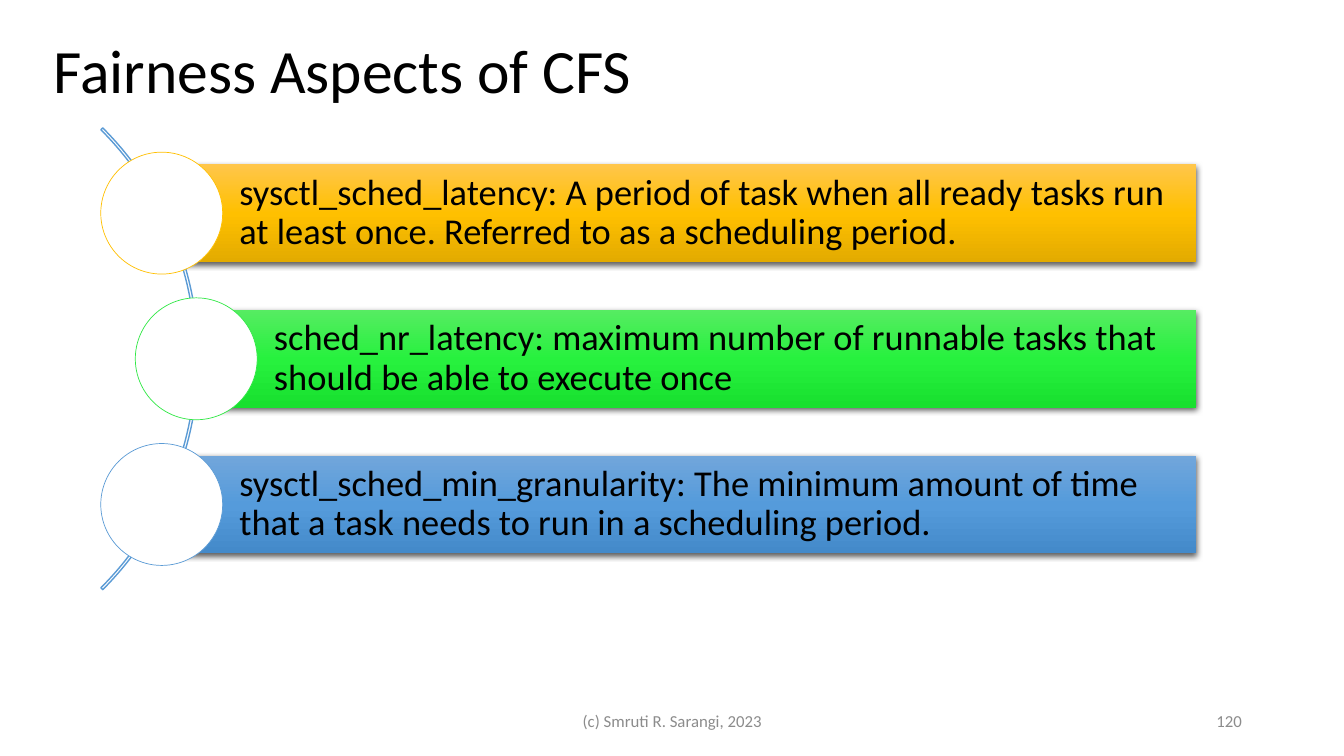
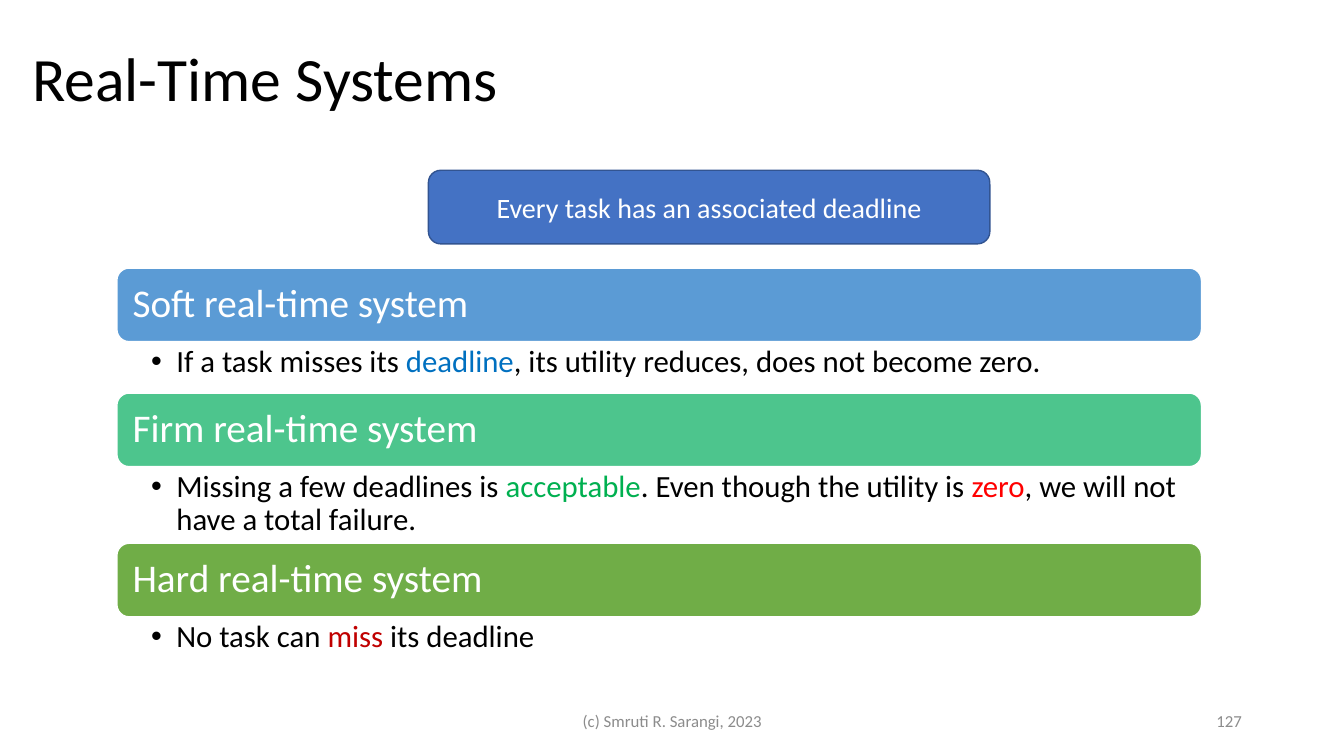
from copy import deepcopy
from dataclasses import dataclass
from math import sqrt

from lxml import etree
from pptx import Presentation
from pptx.dml.color import RGBColor
from pptx.enum.shapes import MSO_SHAPE
from pptx.enum.text import MSO_ANCHOR, PP_ALIGN
from pptx.oxml.ns import qn
from pptx.util import Inches, Pt

RECT, ROUNDED = MSO_SHAPE.RECTANGLE, MSO_SHAPE.ROUNDED_RECTANGLE
OVAL, ARC = MSO_SHAPE.OVAL, MSO_SHAPE.BLOCK_ARC
LEFT, CENTER, RIGHT = PP_ALIGN.LEFT, PP_ALIGN.CENTER, PP_ALIGN.RIGHT
TOP, MIDDLE = MSO_ANCHOR.TOP, MSO_ANCHOR.MIDDLE

SLIDE_W, SLIDE_H = Inches(13.333), Inches(7.5)
COLUMNS = 40
UNIT = SLIDE_W / COLUMNS


@dataclass(frozen=True)
class Theme:
    """Font, type sizes and colours of the deck."""
    font: str = "Calibri"
    title_size: int = 44
    heading_size: int = 28
    bar_size: int = 26
    detail_size: int = 22
    callout_size: int = 20
    footer_size: int = 12
    ink: str = "000000"
    paper: str = "FFFFFF"
    muted: str = "8C8C8C"
    blue: str = "5B9BD5"
    teal: str = "4DC58D"
    green: str = "70AD47"
    callout: str = "4472C4"
    callout_edge: str = "325491"
    deadline: str = "0070C0"
    acceptable: str = "00B050"
    zero: str = "FF0000"
    miss: str = "C00000"
    gold_ring: str = "FFC000"
    lime_ring: str = "30E845"
    gold_fade: tuple = ("FFC64B", "FFC000", "E3AB00")
    lime_fade: tuple = ("56EC62", "27F13E", "18E02F")
    blue_fade: tuple = ("71A6DB", "559BDB", "448ACA")


@dataclass(frozen=True)
class Box:
    """A rectangle in grid columns and rows."""
    x: float
    y: float
    w: float
    h: float

    def emu(self):
        """Return left, top, width and height in EMU."""
        return [round(side * UNIT) for side in (self.x, self.y, self.w, self.h)]


THEME = Theme()
TEXT_INSETS = (0.3, 0.15, 0.3, 0.15)
FOOTER = Box(13.26, 20.85, 13.5, 1.2)
PAGE_NUMBER = Box(28.26, 20.85, 9, 1.2)
COPYRIGHT = "(c) Smruti R. Sarangi, 2023"


def write(shape, runs, size, align=LEFT, anchor=MIDDLE, insets=TEXT_INSETS,
          spacing=0.9, bullet=False):
    """Write one paragraph of (text, colour) runs into a shape."""
    frame = shape.text_frame
    frame.word_wrap = True
    frame.vertical_anchor = anchor
    (frame.margin_left, frame.margin_top,
     frame.margin_right, frame.margin_bottom) = [round(i * UNIT) for i in insets]
    paragraph = frame.paragraphs[0]
    paragraph.alignment = align
    paragraph.line_spacing = spacing
    if bullet:
        properties = paragraph._p.get_or_add_pPr()
        properties.set("marL", str(Inches(0.25)))
        properties.set("indent", str(-Inches(0.25)))
        etree.SubElement(properties, qn("a:buFont"), typeface="Arial")
        etree.SubElement(properties, qn("a:buChar"), char="•")
    for text, colour in runs:
        run = paragraph.add_run()
        run.text = text
        run.font.name = THEME.font
        run.font.size = Pt(size)
        run.font.color.rgb = RGBColor.from_string(colour)


def add_text(slide, box, runs, size, **style):
    """Add a text box holding one paragraph."""
    write(slide.shapes.add_textbox(*box.emu()), runs, size, **style)


def add_shape(slide, preset, box, fill=None, line=None, weight=1):
    """Add a preset shape with a flat fill and line, or none."""
    shape = slide.shapes.add_shape(preset, *box.emu())
    shape.shadow.inherit = False
    if fill:
        shape.fill.solid()
        shape.fill.fore_color.rgb = RGBColor.from_string(fill)
    else:
        shape.fill.background()
    if line:
        shape.line.color.rgb = RGBColor.from_string(line)
        shape.line.width = Pt(weight)
    else:
        shape.line.fill.background()
    return shape


def fade(shape, colours):
    """Fill a shape from top to bottom with evenly spaced colours."""
    shape.fill.gradient()
    shape.fill.gradient_angle = 270
    stop_list = shape._element.spPr.find(".//" + qn("a:gsLst"))
    while len(stop_list) < len(colours):
        stop_list.append(deepcopy(stop_list[0]))
    for index, (stop, colour) in enumerate(zip(shape.fill.gradient_stops, colours)):
        stop.position = index / (len(colours) - 1)
        stop.color.rgb = RGBColor.from_string(colour)


def cast_shadow(shape):
    """Give a shape a soft shadow below it."""
    effects = shape._element.spPr.find(qn("a:effectLst"))
    shadow = etree.SubElement(effects, qn("a:outerShdw"), blurRad=str(Pt(4.5)),
                              dist=str(Pt(1.5)), dir="5400000", rotWithShape="0")
    colour = etree.SubElement(shadow, qn("a:srgbClr"), val=THEME.ink)
    etree.SubElement(colour, qn("a:alpha"), val="63000")


def start_slide(deck, title, title_box, number):
    """Add a blank slide with its title, copyright line and number."""
    slide = deck.slides.add_slide(deck.slide_layouts[6])
    add_text(slide, title_box, [(title, THEME.ink)], THEME.title_size)
    for box, text, align in ((FOOTER, COPYRIGHT, CENTER),
                             (PAGE_NUMBER, str(number), RIGHT)):
        add_text(slide, box, [(text, THEME.muted)], THEME.footer_size,
                 align=align, spacing=1)
    return slide


def draw_curved_list(slide, box, items):
    """Draw bars whose round markers sit along an arc left of the box."""
    marker = box.h * 0.295
    pitch = (box.h - marker) / (len(items) - 1)
    bar_height = marker * 0.8
    middle = box.y + box.h / 2
    track = box.h * 0.785
    arc_radius = box.h * 0.79
    arc_x = box.x + marker / 2 - sqrt(track ** 2 - pitch ** 2)
    arc = add_shape(slide, ARC, Box(arc_x - arc_radius, middle - arc_radius,
                                    2 * arc_radius, 2 * arc_radius), line=THEME.blue)
    for index, value in enumerate((189, 27, 0.004)):
        arc.adjustments[index] = value
    for index, (text, colours, ring) in enumerate(items):
        y = box.y + marker / 2 + index * pitch
        x = arc_x + sqrt(track ** 2 - (y - middle) ** 2)
        bar = add_shape(slide, RECT, Box(x, y - bar_height / 2,
                                         box.x + box.w - x, bar_height))
        fade(bar, colours)
        cast_shadow(bar)
        write(bar, [(text, THEME.ink)], THEME.bar_size, insets=(2.31, 0.21, 0.21, 0.21))
        add_shape(slide, OVAL, Box(x - marker / 2, y - marker / 2, marker, marker),
                  THEME.paper, ring, 0.5)


def draw_sections(slide, box, sections):
    """Stack headings, each with a bulleted detail below it."""
    heading_height = 2.19
    y = box.y
    for heading, fill, lines, detail in sections:
        band = add_shape(slide, ROUNDED, Box(box.x, y, box.w, heading_height),
                         fill, THEME.paper)
        write(band, [(heading, THEME.paper)], THEME.heading_size, insets=(0.36,) * 4)
        y += heading_height
        detail_height = 0.78 + 0.75 * lines
        add_text(slide, Box(box.x, y, box.w, detail_height), detail, THEME.detail_size,
                 anchor=TOP, insets=(1.02, 0.12, 0.66, 0.12), bullet=True)
        y += detail_height


def build_fairness(deck):
    """Build the slide on the fairness settings of CFS."""
    slide = start_slide(deck, "Fairness Aspects of CFS", Box(1.29, 0, 34.5, 4.35), 120)
    draw_curved_list(slide, Box(3, 4.53, 32.61, 12.3), [
        ("sysctl_sched_latency: A period of task when all ready tasks run at least once. "
         "Referred to as a scheduling period.", THEME.gold_fade, THEME.gold_ring),
        ("sched_nr_latency: maximum number of runnable tasks that should be able to "
         "execute once", THEME.lime_fade, THEME.lime_ring),
        ("sysctl_sched_min_granularity: The minimum amount of time that a task needs to "
         "run in a scheduling period.", THEME.blue_fade, THEME.blue),
    ])


def build_real_time(deck):
    """Build the slide on the kinds of real-time system."""
    slide = start_slide(deck, "Real-Time Systems", Box(0.66, 0.24, 34.5, 4.35), 127)
    callout = add_shape(slide, ROUNDED, Box(12.75, 5.07, 16.71, 2.19),
                        THEME.callout, THEME.callout_edge)
    write(callout, [("Every task has an associated deadline", THEME.paper)],
          THEME.callout_size, align=CENTER, spacing=1)
    draw_sections(slide, Box(3.48, 7.98, 32.28, 11.94), [
        ("Soft real-time system", THEME.blue, 1, [
            ("If a task misses its ", THEME.ink),
            ("deadline", THEME.deadline),
            (", its utility reduces, does not become zero.", THEME.ink)]),
        ("Firm real-time system", THEME.teal, 2, [
            ("Missing a few deadlines is ", THEME.ink),
            ("acceptable", THEME.acceptable),
            (". Even though the utility is ", THEME.ink),
            ("zero", THEME.zero),
            (", we will not have a total failure.", THEME.ink)]),
        ("Hard real-time system", THEME.green, 1, [
            ("No task can ", THEME.ink),
            ("miss", THEME.miss),
            (" its deadline", THEME.ink)]),
    ])


def main():
    """Build and save the deck."""
    deck = Presentation()
    deck.slide_width, deck.slide_height = SLIDE_W, SLIDE_H
    build_fairness(deck)
    build_real_time(deck)
    deck.save("out.pptx")


if __name__ == "__main__":
    main()
